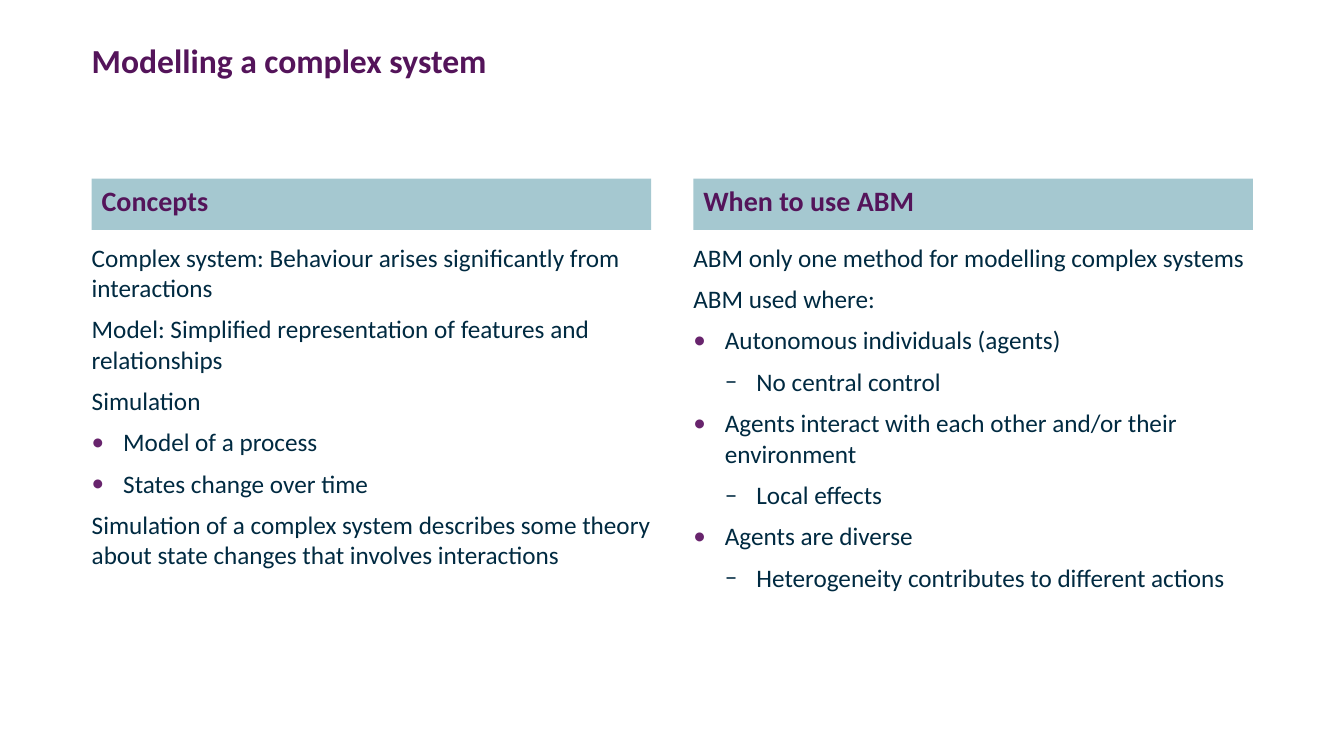
"""Build the slide on modelling a complex system."""
from pptx import Presentation
from pptx.dml.color import RGBColor
from pptx.enum.shapes import MSO_SHAPE as SHAPE
from pptx.enum.text import MSO_ANCHOR as ANCHOR, MSO_AUTO_SIZE as AUTO_SIZE, PP_ALIGN as ALIGN
from pptx.oxml import parse_xml
from pptx.oxml.ns import nsdecls
from pptx.util import Pt

PURPLE, BULLET_PURPLE, NAVY, BAND = "54145A", "68246D", "002A41", "A5C8D0"
MARGIN, COLUMN_WIDTH, COLUMN_STEP = 65.5, 399.6, 429.8
INDENT = 22.5
BULLETS = {1: ("•", BULLET_PURPLE), 2: ("–", NAVY)}
HEADING = {"size": Pt(20), "bold": True}
BODY = {"size": Pt(18), "bold": False}
NO_INSETS = {f"margin_{side}": 0 for side in ("left", "top", "right", "bottom")}
FRAME = {"word_wrap": True, "auto_size": AUTO_SIZE.NONE, "vertical_anchor": ANCHOR.TOP}

COLUMNS = [
    ("Concepts", [
        (0, "Complex system: Behaviour arises significantly from interactions"),
        (0, "Model: Simplified representation of features and relationships"),
        (0, "Simulation"),
        (1, "Model of a process"),
        (1, "States change over time"),
        (0, "Simulation of a complex system describes some theory about state changes "
            "that involves interactions"),
    ]),
    ("When to use ABM", [
        (0, "ABM only one method for modelling complex systems"),
        (0, "ABM used where:"),
        (1, "Autonomous individuals (agents)"),
        (2, "No central control"),
        (1, "Agents interact with each other and/or their environment"),
        (2, "Local effects"),
        (1, "Agents are diverse"),
        (2, "Heterogeneity contributes to different actions"),
    ]),
]


def color(value):
    """Turn a hex string into a colour."""
    return RGBColor.from_string(value)


def write(shape, lines, values, text_color, frame_values):
    """Fill a shape with levelled paragraphs."""
    frame = shape.text_frame
    for name, value in frame_values.items():
        setattr(frame, name, value)
    for number, (level, text) in enumerate(lines):
        paragraph = frame.add_paragraph() if number else frame.paragraphs[0]
        paragraph.text = text
        paragraph.alignment = ALIGN.LEFT
        paragraph.space_before = Pt(8 if number else 0)
        font = paragraph.runs[0].font
        for name, value in {"name": "Calibri", **values}.items():
            setattr(font, name, value)
        font.color.rgb = color(text_color)
        if level:
            paragraph.level = level
            mark, mark_color = BULLETS[level]
            properties = paragraph._p.get_or_add_pPr()
            properties.set("marL", str(Pt(INDENT * level)))
            properties.set("indent", str(Pt(-INDENT)))
            for xml in (
                f'<a:buClr {nsdecls("a")}><a:srgbClr val="{mark_color}"/></a:buClr>',
                f'<a:buFont {nsdecls("a")} typeface="Calibri"/>',
                f'<a:buChar {nsdecls("a")} char="{mark}"/>',
            ):
                properties.append(parse_xml(xml))


presentation = Presentation()
presentation.slide_width, presentation.slide_height = Pt(960), Pt(540)
slide = presentation.slides.add_slide(presentation.slide_layouts[5])

title = slide.shapes.title
for name, value in {"left": MARGIN, "top": 28.8, "width": 829.4, "height": 90}.items():
    setattr(title, name, Pt(value))
write(title, [(0, "Modelling a complex system")], {"size": Pt(24), "bold": True},
      PURPLE, {**FRAME, **NO_INSETS})

for index, (heading, lines) in enumerate(COLUMNS):
    left = Pt(MARGIN + index * COLUMN_STEP)
    band = slide.shapes.add_shape(SHAPE.RECTANGLE, left, Pt(127.5), Pt(COLUMN_WIDTH), Pt(36.7))
    band.shadow.inherit = False
    band.fill.solid()
    band.fill.fore_color.rgb = color(BAND)
    band.line.fill.background()
    write(band, [(0, heading)], HEADING, PURPLE, FRAME)

    body = slide.shapes.add_textbox(left, Pt(172.8), Pt(COLUMN_WIDTH), Pt(262))
    write(body, lines, BODY, NAVY, {**FRAME, **NO_INSETS})

presentation.save("out.pptx")
